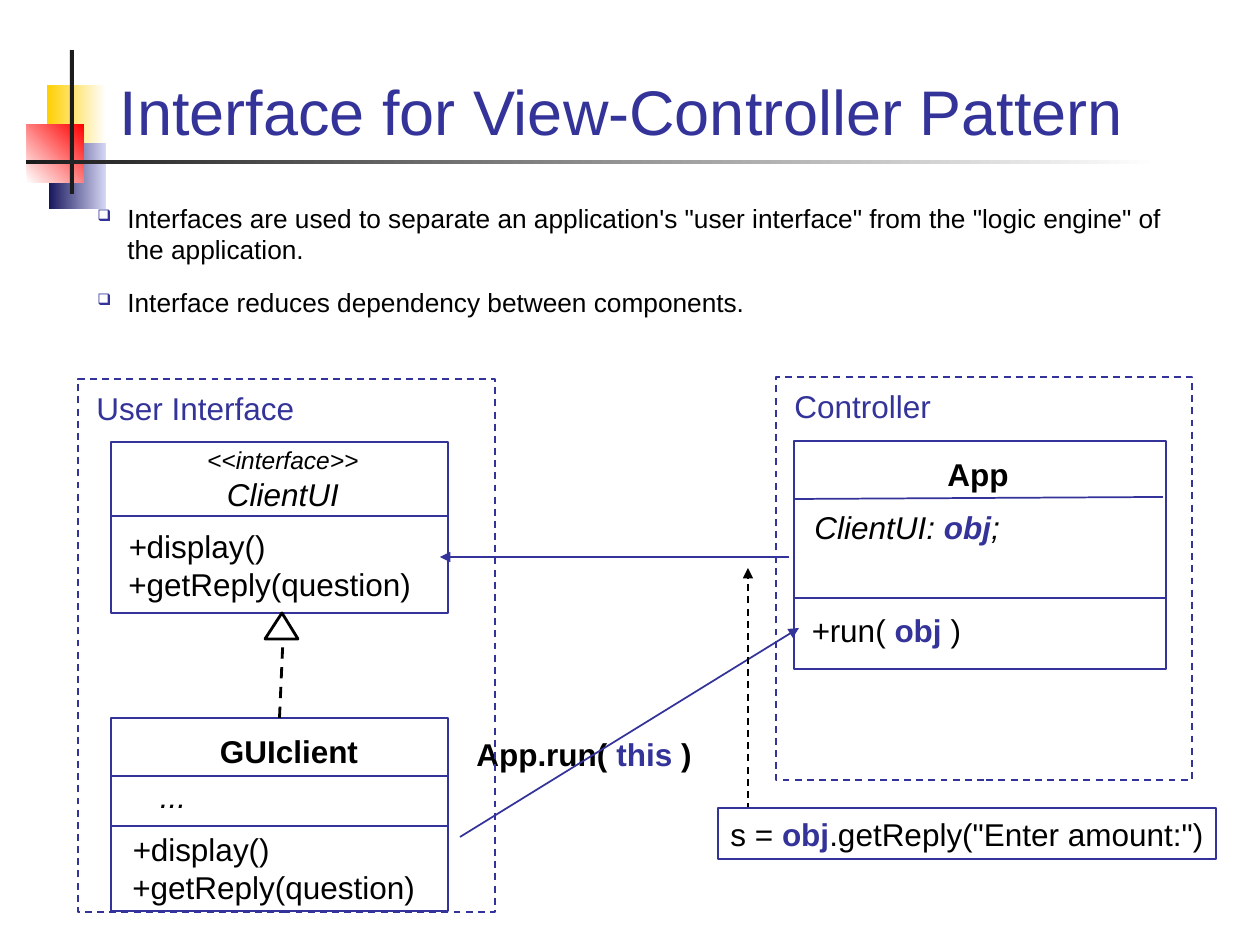
from lxml import etree
from pptx import Presentation
from pptx.dml.color import RGBColor
from pptx.enum.dml import MSO_LINE
from pptx.enum.shapes import MSO_CONNECTOR, MSO_SHAPE
from pptx.enum.text import MSO_ANCHOR, MSO_AUTO_SIZE, PP_ALIGN
from pptx.oxml.ns import qn
from pptx.util import Emu, Pt

EMU_PER_PX = 914400 / 126
RECTANGLE = MSO_SHAPE.RECTANGLE
STRAIGHT = MSO_CONNECTOR.STRAIGHT
DASH = MSO_LINE.DASH
BOTTOM = MSO_ANCHOR.BOTTOM
LEFT, CENTER = PP_ALIGN.LEFT, PP_ALIGN.CENTER
FIT_SHAPE, NO_FIT = MSO_AUTO_SIZE.SHAPE_TO_FIT_TEXT, MSO_AUTO_SIZE.NONE
FONT = "Arial"
COLORS = {
    "navy": "333399", "black": "000000", "white": "FFFFFF", "ink": "1C1C1C",
    "yellow": "FFCF01", "red": "FF0000", "midnight": "17175E", "lavender": "D6D6F5",
}
ITALIC = {"italic": True}
BOLD = {"bold": True}
KEYWORD = {"bold": True, "color": "navy"}
HEADING = {"color": "navy"}
METHODS = [[("+", ITALIC), ("display()", {})], [("+getReply(question)", {})]]


def px(value):
    return Emu(round(value * EMU_PER_PX))


def rgb(name):
    return RGBColor.from_string(COLORS[name])


def style_font(font, color="black", size=18, **formats):
    font.name = FONT
    font.size = Pt(size)
    font.color.rgb = rgb(color)
    for name, value in formats.items():
        setattr(font, name, value)


def style_line(line, color, width, dash=None):
    line.color.rgb = rgb(color)
    line.width = Pt(width)
    if dash:
        line.dash_style = dash


def fill_paragraph(para, runs):
    for text, formats in runs:
        if text == "\n":
            para.add_line_break()
            continue
        span = para.add_run()
        span.text = text
        style_font(span.font, **formats)


def add_box(slide, bounds, color="navy", width=1, dash=None, fill=None):
    box = slide.shapes.add_shape(RECTANGLE, *map(px, bounds))
    box.shadow.inherit = False
    if fill:
        box.fill.solid()
        box.fill.fore_color.rgb = rgb(fill)
    else:
        box.fill.background()
    if color:
        style_line(box.line, color, width, dash)
    else:
        box.line.fill.background()
    return box


def add_gradient(slide, bounds, start, end, angle=0):
    box = add_box(slide, bounds, color=None)
    box.fill.gradient()
    box.fill.gradient_angle = angle
    for stop, color in zip(box.fill.gradient_stops, (start, end)):
        stop.color.rgb = rgb(color)


def write_text(box, paragraphs, align=LEFT):
    frame = box.text_frame
    frame.word_wrap = False
    frame.auto_size = FIT_SHAPE
    for index, runs in enumerate(paragraphs):
        para = frame.add_paragraph() if index else frame.paragraphs[0]
        para.alignment = align
        fill_paragraph(para, runs)


def add_label(slide, bounds, paragraphs, align=LEFT):
    box = slide.shapes.add_textbox(*map(px, bounds))
    write_text(box, paragraphs, align)


def add_line(slide, points, color="navy", width=1, dash=None, arrow=False):
    connector = slide.shapes.add_connector(STRAIGHT, *map(px, points))
    style_line(connector.line, color, width, dash)
    if arrow:
        tail = etree.SubElement(connector.line._get_or_add_ln(), qn("a:tailEnd"))
        tail.set("type", "triangle")
    etree.SubElement(connector._element.spPr, qn("a:effectLst"))
    return connector


def add_triangle(slide, points):
    scaled = [(px(x), px(y)) for x, y in points]
    builder = slide.shapes.build_freeform(*scaled[0], scale=1.0)
    builder.add_line_segments(scaled[1:], close=True)
    triangle = builder.convert_to_shape()
    triangle.shadow.inherit = False
    triangle.fill.background()
    style_line(triangle.line, "black", 1.62)


def add_title(slide, text):
    title = slide.shapes.title
    bounds = dict(left=85, top=34, width=1091, height=120)
    for name, value in bounds.items():
        setattr(title, name, px(value))
    frame = title.text_frame
    formats = dict(word_wrap=True, auto_size=NO_FIT, vertical_anchor=BOTTOM)
    for name, value in formats.items():
        setattr(frame, name, value)
    para = frame.paragraphs[0]
    para.alignment = CENTER
    fill_paragraph(para, [(text, {"size": 36, "color": "navy"})])


def add_bullets(slide, bounds, lines):
    frame = slide.shapes.add_textbox(*map(px, bounds)).text_frame
    frame.word_wrap = True
    for index, text in enumerate(lines):
        para = frame.add_paragraph() if index else frame.paragraphs[0]
        properties = para._p.get_or_add_pPr()
        properties.set("marL", str(px(30)))
        properties.set("indent", str(-px(30)))
        bullet_color = etree.SubElement(properties, qn("a:buClr"))
        etree.SubElement(bullet_color, qn("a:srgbClr")).set("val", COLORS["navy"])
        etree.SubElement(properties, qn("a:buSzPct")).set("val", "60000")
        etree.SubElement(properties, qn("a:buChar")).set("char", "❑")
        if index:
            para.space_before = Pt(12)
        fill_paragraph(para, [(text, {"size": 15})])


def add_decoration(slide):
    add_gradient(slide, (47, 85, 59, 65), "yellow", "white")
    add_gradient(slide, (49, 143, 57, 66), "midnight", "lavender")
    add_gradient(slide, (27, 124, 57, 59), "white", "red", angle=45)
    add_box(slide, (70, 50, 4, 144), color=None, fill="ink")
    add_gradient(slide, (26, 160, 1133, 4), "ink", "white")


def add_client_classes(slide):
    add_box(slide, (111, 442, 337, 171))
    stereotype = [("<<interface>>", {"size": 14, "italic": True}), ("\n", {}), ("ClientUI", ITALIC)]
    add_label(slide, (183, 439, 200, 80), [stereotype], CENTER)
    add_line(slide, (112, 516, 447, 516))
    add_label(slide, (116, 521, 325, 88), METHODS)

    client = add_box(slide, (111, 718, 337, 193))
    add_label(slide, (199, 726, 180, 51), [[("GUIclient", BOLD)]], CENTER)
    for y in (776, 826):
        add_line(slide, (111, y, 447, y))
    add_label(slide, (120, 824, 325, 88), METHODS)
    realization = add_line(slide, (282, 718, 283, 640), "black", 1.62, DASH)
    realization.begin_connect(client, 0)
    add_triangle(slide, [(265, 639), (298, 639), (282, 613)])
    add_label(slide, (143, 771, 60, 51), [[("...", ITALIC)]], CENTER)


def add_app_class(slide):
    add_box(slide, (794, 441, 372, 228))
    add_label(slide, (928, 449, 100, 51), [[("App", BOLD)]], CENTER)
    add_line(slide, (794, 499, 1163, 497))
    add_line(slide, (794, 598, 1166, 598))
    run_method = [("+", ITALIC), ("run( ", {}), ("obj", KEYWORD), (" )", {})]
    add_label(slide, (799, 605, 190, 51), [run_method])
    field = [("ClientUI: ", ITALIC), ("obj", {**KEYWORD, **ITALIC}), (";", ITALIC)]
    add_label(slide, (802, 502, 225, 51), [field])


def add_package(slide, bounds, name):
    left, top = bounds[:2]
    add_box(slide, bounds, dash=DASH)
    add_label(slide, (left + 6, top + 4, 270, 51), [[(name, HEADING)]])


def main():
    deck = Presentation()
    deck.slide_width, deck.slide_height = px(1260), px(945)
    slide = deck.slides.add_slide(deck.slide_layouts[5])
    add_decoration(slide)
    add_title(slide, "Interface for View-Controller Pattern ")
    add_bullets(slide, (85, 196, 1091, 129), [
        "Interfaces are used to separate an application's \"user interface\" "
        "from the \"logic engine\" of the application.",
        "Interface reduces dependency between components.",
    ])
    add_client_classes(slide)
    add_app_class(slide)
    call = add_box(slide, (464, 728, 241, 51), color=None, fill="white")
    write_text(call, [[("App.run( ", BOLD), ("this", KEYWORD), (" )", BOLD)]])
    add_line(slide, (789, 557, 440, 557), arrow=True)
    add_package(slide, (78, 379, 417, 533), "User Interface")
    add_package(slide, (776, 377, 416, 403), "Controller")
    add_line(slide, (460, 837, 799, 628), arrow=True)
    add_line(slide, (748, 810, 748, 568), "black", dash=DASH, arrow=True)
    note = add_box(slide, (718, 808, 498, 51), width=0.75, fill="white")
    write_text(note, [[("s = ", {}), ("obj", KEYWORD), (".getReply(\"Enter amount:\")", {})]])
    deck.save("out.pptx")


if __name__ == "__main__":
    main()
